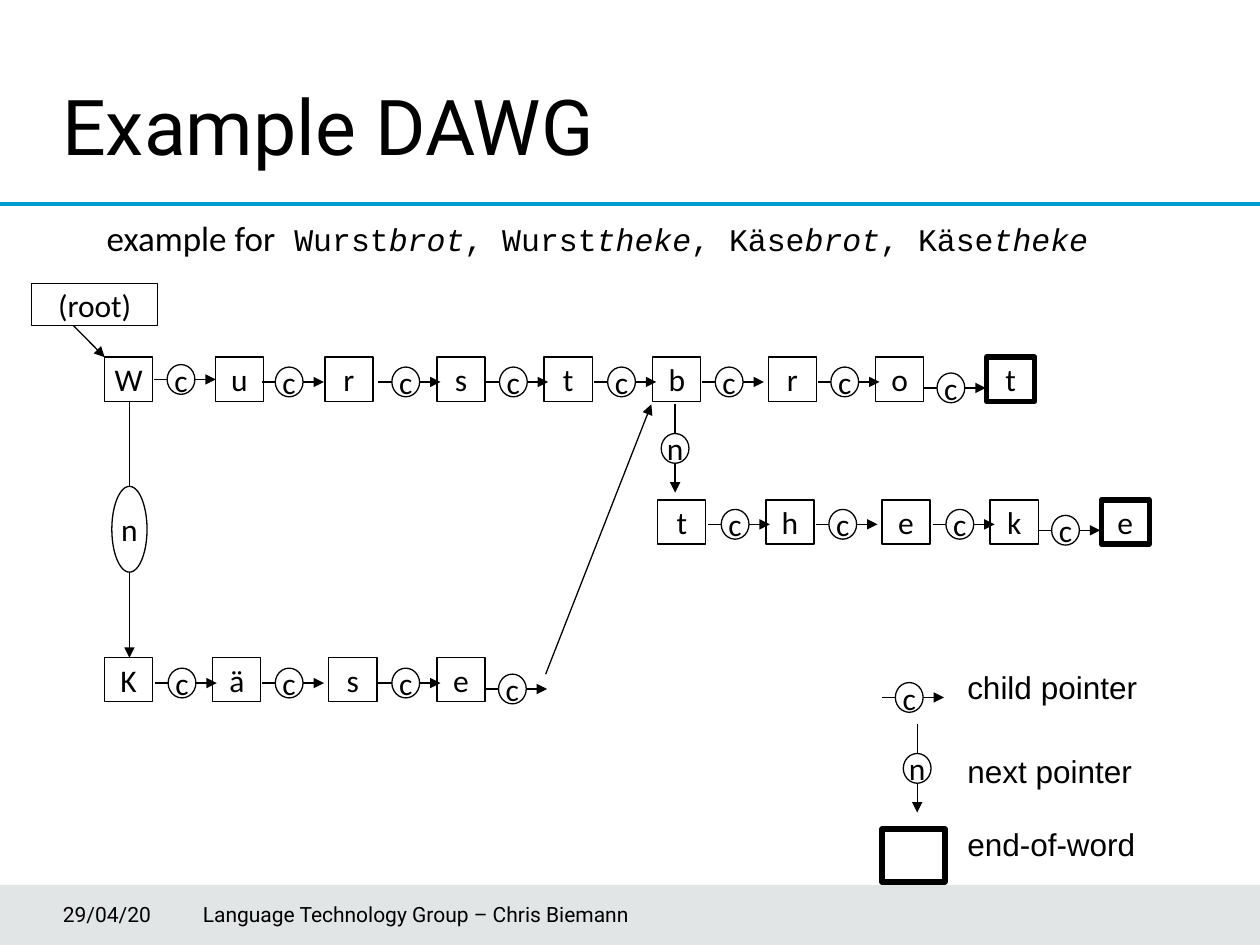
from lxml.etree import SubElement
from pptx import Presentation
from pptx.dml.color import RGBColor
from pptx.enum.shapes import MSO_CONNECTOR, MSO_SHAPE
from pptx.enum.text import MSO_ANCHOR, PP_ALIGN
from pptx.oxml.ns import qn
from pptx.util import Cm, Pt

COLORS = {"ink": "000000", "paper": "FFFFFF", "rule": "009CD1", "footer": "3B515B"}
RGB = {name: RGBColor.from_string(code) for name, code in COLORS.items()}
BOX_W, BOX_H = 0.97, 0.89
DOT_W, DOT_H = 0.56, 0.6
CHILD_LEN = 1.25


def add_node(shapes, kind, text, x, y, w, h, weight=0.75):
    sp = shapes.add_shape(kind, Cm(x), Cm(y), Cm(w), Cm(h))
    sp.shadow.inherit = False
    sp.fill.solid()
    sp.fill.fore_color.rgb = RGB["paper"]
    sp.line.color.rgb = RGB["ink"]
    sp.line.width = Pt(weight)
    tf = sp.text_frame
    tf.word_wrap = False
    tf.vertical_anchor = MSO_ANCHOR.MIDDLE
    p = tf.paragraphs[0]
    p.text = text
    p.alignment = PP_ALIGN.CENTER
    p.font.name, p.font.size = "Calibri", Pt(18)
    p.font.color.rgb = RGB["ink"]


def add_line(shapes, x1, y1, x2, y2, color="ink", weight=0.75, arrow=True):
    ln = shapes.add_connector(MSO_CONNECTOR.STRAIGHT, Cm(x1), Cm(y1), Cm(x2), Cm(y2))
    ln.line.color.rgb = RGB[color]
    ln.line.width = Pt(weight)
    if arrow:
        SubElement(ln.line._get_or_add_ln(), qn("a:tailEnd"), type="triangle")
    SubElement(ln._element.spPr, qn("a:effectLst"))


prs = Presentation()
prs.slide_width, prs.slide_height = Cm(25.4), Cm(19.05)
s = prs.slides.add_slide(prs.slide_layouts[5])

# Footer band and rule under the title
band = s.shapes.add_shape(MSO_SHAPE.RECTANGLE, 0, Cm(17.84), Cm(25.4), Cm(1.21))
band.shadow.inherit = False
band.fill.solid()
band.fill.fore_color.rgb = RGB["footer"]
SubElement(band._element.spPr.find(".//" + qn("a:srgbClr")), qn("a:alpha"), val="15000")
band.line.fill.background()
add_line(s.shapes, 0, 4.11, 25.4, 4.11, "rule", 2, arrow=False)

# Title
title = s.shapes.title
title.left, title.top, title.width, title.height = Cm(1), Cm(1.35), Cm(19.1), Cm(2.34)
tf = title.text_frame
tf.text = "Example DAWG"
tf.vertical_anchor = MSO_ANCHOR.MIDDLE
p = tf.paragraphs[0]
p.alignment = PP_ALIGN.LEFT
r = p.runs[0]
r.font.name, r.font.size = "Roboto", Pt(44)
r.font.color.rgb = RGB["ink"]

# Example words: shared prefixes upright, shared suffixes italic
sp = s.shapes.add_textbox(Cm(1.9), Cm(4.24), Cm(21.6), Cm(1.47))
tf = sp.text_frame
tf.word_wrap = True
p = tf.paragraphs[0]
parts = ["example for", " Wurst", "brot", ", Wurst", "theke", ", Käse", "brot", ", Käse", "theke"]
for i, part in enumerate(parts):
    r = p.add_run()
    r.text = part
    r.font.name, r.font.size = ("Courier New", Pt(18)) if i else ("Calibri", Pt(20))
    r.font.italic = i > 0 and i % 2 == 0
    r.font.color.rgb = RGB["ink"]

# Letter boxes: letters, top, left edges, whether the last one ends a word
rows = [
    ("Wurstbrot", 7.2, [2.11, 4.34, 6.55, 8.81, 10.97, 13.16, 15.49, 17.65, 19.89], True),
    ("theke", 10.08, [13.26, 15.44, 17.78, 19.96, 22.2], True),
    ("Käse", 13.26, [2.11, 4.29, 6.63, 8.81], False),
]
for letters, y, lefts, ends_word in rows:
    for i, (letter, x) in enumerate(zip(letters, lefts)):
        weight = 3 if ends_word and i == len(letters) - 1 else 0.75
        add_node(s.shapes, MSO_SHAPE.RECTANGLE, letter, x, y, BOX_W, BOX_H, weight)

# Child pointers: line height and start positions
child_pointers = [
    (7.65, [3.1]),
    (7.7, [5.28, 7.63, 9.8, 11.98, 14.15, 16.48]),
    (7.82, [18.62]),
    (10.57, [14.27, 16.44, 18.8]),
    (10.69, [20.93]),
    (13.77, [3.12, 5.28, 7.63]),
    (13.89, [9.78]),
    (14.06, [17.78]),  # legend
]
for y, starts in child_pointers:
    for x in starts:
        group = s.shapes.add_group_shape()
        add_line(group.shapes, x, y, x + CHILD_LEN, y)
        add_node(group.shapes, MSO_SHAPE.OVAL, "c", x + 0.27, y - DOT_H / 2, DOT_W, DOT_H)

# Next pointers: x, top, bottom, marker size
next_pointers = [
    (2.61, 8.08, 13.26, 0.71, 1.73),
    (13.61, 8.15, 9.93, DOT_W, DOT_H),
    (18.49, 14.6, 16.38, DOT_W, DOT_H),  # legend
]
for x, top, bottom, w, h in next_pointers:
    group = s.shapes.add_group_shape()
    add_line(group.shapes, x, top, x, bottom)
    add_node(group.shapes, MSO_SHAPE.OVAL, "n", x - w / 2, (top + bottom - h) / 2, w, h)

# Link from "Käse" to the shared suffixes, and the root
add_line(s.shapes, 11, 13.59, 13.13, 8.15)
add_line(s.shapes, 1.27, 6.35, 2.11, 7.2)
add_node(s.shapes, MSO_SHAPE.RECTANGLE, "(root)", 0.64, 5.72, 2.54, 0.85)

# Legend box for end-of-word
add_node(s.shapes, MSO_SHAPE.RECTANGLE, "", 17.78, 16.71, 1.27, 1.07, 3)

# Legend labels and footer texts
labels = [
    ("child pointer", 19.25, 13.34, 5.08, 1.27, "Arial", 18),
    ("next pointer", 19.25, 15.04, 5.08, 1.27, "Arial", 18),
    ("end-of-word", 19.25, 16.51, 5.08, 1.27, "Arial", 18),
    ("29/04/20", 1.27, 17.91, 2.51, 1.02, "Roboto", 12),
    ("Language Technology Group – Chris Biemann", 4.09, 17.91, 12.5, 1.02, "Roboto", 12),
]
for text, x, y, w, h, font, size in labels:
    sp = s.shapes.add_textbox(Cm(x), Cm(y), Cm(w), Cm(h))
    tf = sp.text_frame
    tf.text = text
    tf.word_wrap = True
    if font == "Roboto":
        tf.margin_left = 0
        tf.vertical_anchor = MSO_ANCHOR.MIDDLE
    r = tf.paragraphs[0].runs[0]
    r.font.name, r.font.size = font, Pt(size)
    r.font.color.rgb = RGB["ink"]

prs.save("out.pptx")
